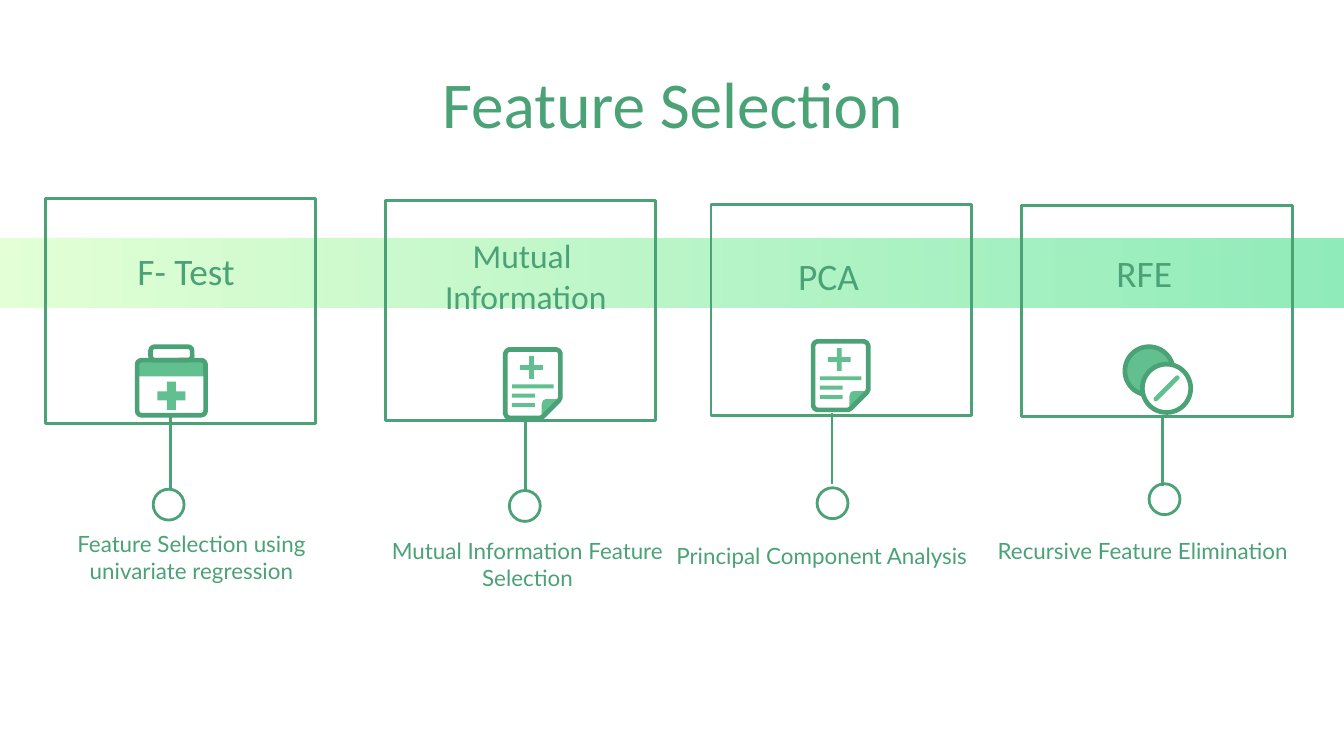
"""Builds the feature selection slide with four methods along a gradient band."""
from dataclasses import dataclass
from typing import Callable

from pptx import Presentation
from pptx.dml.color import RGBColor
from pptx.enum.shapes import MSO_CONNECTOR, MSO_SHAPE
from pptx.enum.text import MSO_ANCHOR, PP_ALIGN
from pptx.oxml import parse_xml
from pptx.oxml.ns import nsdecls
from pptx.util import Emu, Pt

RECTANGLE, ROUNDED = MSO_SHAPE.RECTANGLE, MSO_SHAPE.ROUNDED_RECTANGLE
OVAL, CROSS = MSO_SHAPE.OVAL, MSO_SHAPE.CROSS
STRAIGHT = MSO_CONNECTOR.STRAIGHT
MIDDLE, CENTER = MSO_ANCHOR.MIDDLE, PP_ALIGN.CENTER

EMU_PER_PX = 9144
SLIDE_WIDTH = 1000
DARK, LIGHT, WHITE = "4AA276", "62C090", "FFFFFF"
BAND_START, BAND_END = "E3FFD5", "90EBBA"
THIN, THICK = 1.5, 2.5
TEXT_WIDTH, HEADING_HEIGHT, CAPTION_HEIGHT = 257, 52, 87
DOT_SIZE, STEM_LENGTH = 23, 53

Box = tuple[int, int, int, int]
Point = tuple[int, int]


@dataclass(frozen=True)
class Method:
    """One feature selection method and where its parts stand."""

    heading: str
    heading_at: Point
    heading_size: int
    caption: str
    caption_at: Point
    frame: Box
    stem_at: Point
    dot_at: Point
    icon: Callable
    icon_at: Point


def px(value: int) -> Emu:
    """Turn px into EMU."""
    return Emu(value * EMU_PER_PX)


def color(value: str) -> RGBColor:
    """Turn a hex string into a colour."""
    return RGBColor.from_string(value)


def style(shape, fill: str | None, line: str | None, width: float) -> None:
    """Set fill and outline of a shape and drop its shadow."""
    shape.shadow.inherit = False
    if fill:
        shape.fill.solid()
        shape.fill.fore_color.rgb = color(fill)
    else:
        shape.fill.background()
    if line:
        shape.line.color.rgb = color(line)
        shape.line.width = Pt(width)
    else:
        shape.line.fill.background()


def add_preset(shapes, kind, box: Box, fill: str | None = None, line: str | None = None,
               width: float = THIN, adjustment: float | None = None):
    """Add a preset shape."""
    shape = shapes.add_shape(kind, *map(px, box))
    if adjustment is not None:
        shape.adjustments[0] = adjustment
    style(shape, fill, line, width)
    return shape


def add_outline(shapes, points: list[Point], fill: str | None = None,
                line: str | None = None, width: float = THIN) -> None:
    """Add a closed freeform through the points."""
    builder = shapes.build_freeform(*points[0], scale=EMU_PER_PX)
    builder.add_line_segments(points[1:], close=True)
    style(builder.convert_to_shape(), fill, line, width)


def add_line(shapes, start: Point, end: Point, line: str, width: float = THIN,
             cap: str = "flat") -> None:
    """Add a straight connector without shadow."""
    connector = shapes.add_connector(STRAIGHT, *map(px, start + end))
    connector.line.color.rgb = color(line)
    connector.line.width = Pt(width)
    properties = connector._element.spPr
    properties.ln.set("cap", cap)
    properties.append(parse_xml(f"<a:effectLst {nsdecls('a')}/>"))


def add_text(shapes, text: str, box: Box, *, size: int, font: str = "Calibri") -> None:
    """Add centred text, one paragraph per line."""
    frame = shapes.add_textbox(*map(px, box)).text_frame
    frame.word_wrap = True
    frame.vertical_anchor = MIDDLE
    frame.margin_left = frame.margin_right = px(10)
    frame.margin_top = frame.margin_bottom = px(10)
    frame.text = text
    for paragraph in frame.paragraphs:
        paragraph.alignment = CENTER
        for run in paragraph.runs:
            run.font.size = Pt(size)
            run.font.name = font
            run.font.color.rgb = color(DARK)


def draw_kit(shapes, left: int, top: int) -> None:
    """Draw a first aid kit."""
    add_preset(shapes, RECTANGLE, (left + 2, top + 12, 51, 12), LIGHT)
    add_preset(shapes, ROUNDED, (left + 12, top + 2, 31, 10), None, DARK, THICK, 0.3)
    add_preset(shapes, ROUNDED, (left + 2, top + 12, 51, 41), None, DARK, THICK, 0.08)
    add_preset(shapes, CROSS, (left + 17, top + 28, 21, 21), LIGHT, adjustment=0.34)


def draw_report(shapes, left: int, top: int) -> None:
    """Draw a report sheet with a folded corner."""
    fold = [(29, 53), (29, 43), (30, 40), (32, 39), (42, 39)]
    sheet = [(5, 2), (40, 2), (42, 3), (43, 5), (43, 38), (42, 40),
             (30, 52), (28, 53), (5, 53), (3, 52), (2, 50), (2, 5), (3, 3)]
    add_outline(shapes, [(left + x, top + y) for x, y in fold], LIGHT)
    add_outline(shapes, [(left + x, top + y) for x, y in sheet], None, DARK, THICK)
    for row, width in enumerate((31, 17, 17)):
        add_preset(shapes, RECTANGLE, (left + 7, top + 28 + 7 * row, width, 3), LIGHT)
    add_preset(shapes, CROSS, (left + 13, top + 7, 17, 17), LIGHT, adjustment=0.4)


def draw_pills(shapes, left: int, top: int) -> None:
    """Draw two overlapping pills."""
    add_preset(shapes, OVAL, (left + 2, top + 2, 36, 36), LIGHT, DARK, THICK)
    add_preset(shapes, OVAL, (left + 15, top + 15, 36, 36), WHITE, DARK, THICK)
    add_line(shapes, (left + 25, top + 41), (left + 41, top + 25), LIGHT, THICK, "rnd")


def draw_band(shapes) -> None:
    """Draw the gradient band behind the headings."""
    band = add_preset(shapes, RECTANGLE, (-8, 177, 1016, 52))
    band.fill.gradient()
    band.fill.gradient_angle = 0
    for stop, position, value in zip(band.fill.gradient_stops, (0, 1), (BAND_START, BAND_END)):
        stop.position = position
        stop.color.rgb = color(value)


def draw_method(shapes, method: Method) -> None:
    """Draw one method with its frame, icon, stem, dot and texts."""
    add_preset(shapes, RECTANGLE, method.frame, None, DARK)
    stem_x, stem_top = method.stem_at
    add_line(shapes, method.stem_at, (stem_x, stem_top + STEM_LENGTH), DARK)
    add_preset(shapes, OVAL, (*method.dot_at, DOT_SIZE, DOT_SIZE), None, DARK)
    method.icon(shapes.add_group_shape().shapes, *method.icon_at)
    add_text(shapes, method.heading, (*method.heading_at, TEXT_WIDTH, HEADING_HEIGHT),
             size=method.heading_size)
    add_text(shapes, method.caption, (*method.caption_at, TEXT_WIDTH, CAPTION_HEIGHT),
             size=12, font="Lato")


METHODS = [
    Method("F- Test", (10, 175), 20, "Feature Selection using univariate regression", (14, 371),
           (34, 148, 201, 167), (127, 310), (114, 364), draw_kit, (100, 256)),
    Method("Mutual\n Information", (260, 179), 18, "Mutual Information Feature Selection",
           (264, 376), (287, 149, 201, 164), (391, 313), (379, 365), draw_report, (374, 258)),
    Method("PCA", (488, 179), 20, "Principal Component Analysis", (483, 370),
           (529, 152, 194, 157), (619, 307), (608, 363), draw_report, (603, 252)),
    Method("RFE", (723, 177), 20, "Recursive Feature Elimination ", (724, 366),
           (760, 153, 202, 157), (865, 309), (855, 360), draw_pills, (835, 256)),
]


def main() -> None:
    """Build and save the slide."""
    presentation = Presentation()
    presentation.slide_width = px(SLIDE_WIDTH)
    presentation.slide_height = Emu(px(SLIDE_WIDTH) * 9 // 16)
    slide = presentation.slides.add_slide(presentation.slide_layouts[6])
    draw_band(slide.shapes)
    add_text(slide.shapes, "Feature Selection", (79, 59, 843, 35), size=35)
    for method in METHODS:
        draw_method(slide.shapes, method)
    presentation.save("out.pptx")


if __name__ == "__main__":
    main()
